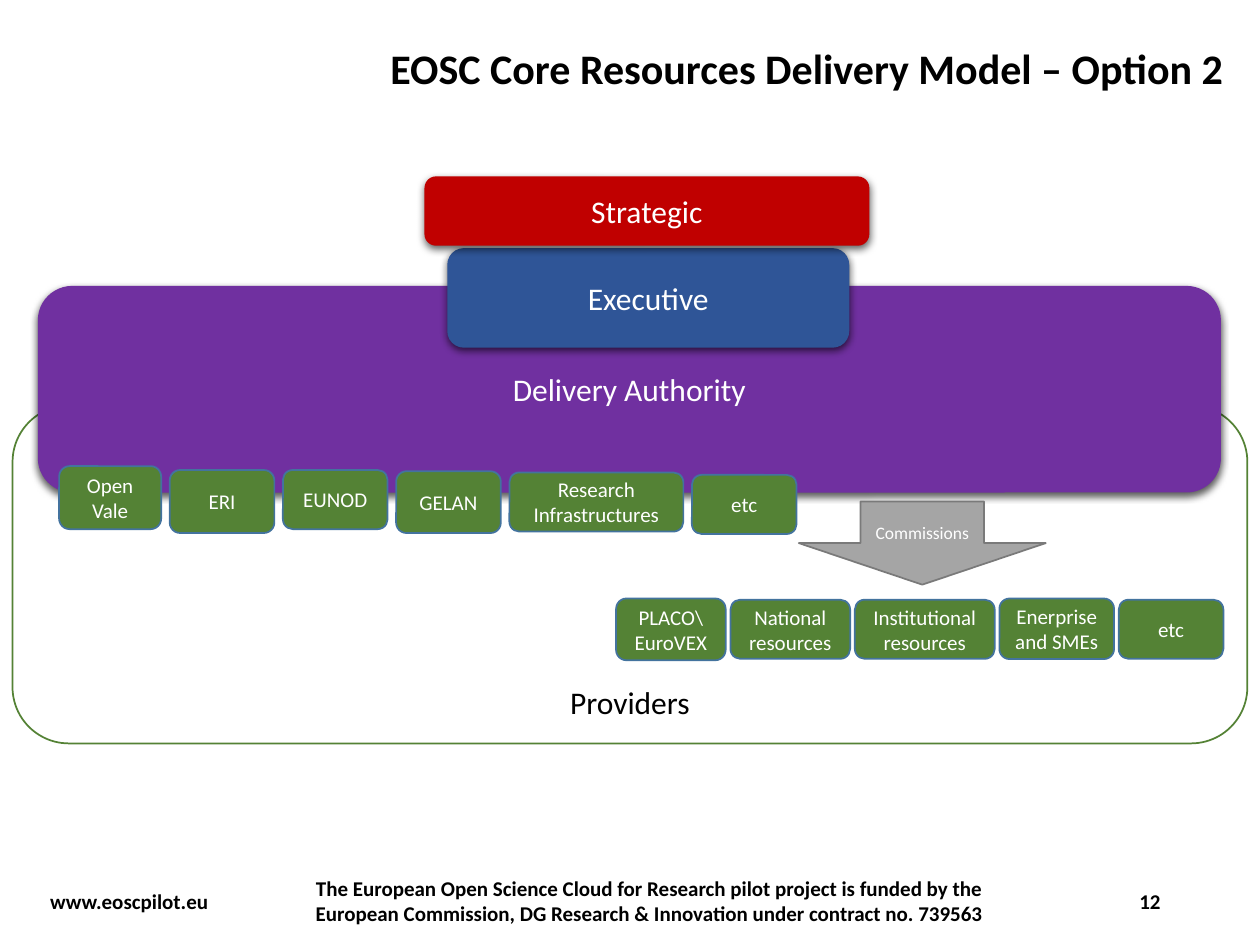
from lxml import etree
from pptx import Presentation
from pptx.dml.color import RGBColor
from pptx.enum import shapes, text
from pptx.oxml import ns
from pptx.util import Pt

FONT = "Calibri"
BLACK = RGBColor(0x00, 0x00, 0x00)
WHITE = RGBColor(0xFF, 0xFF, 0xFF)
RED = RGBColor(0xC0, 0x00, 0x00)
BLUE = RGBColor(0x2F, 0x55, 0x97)
PURPLE = RGBColor(0x70, 0x30, 0xA0)
GREEN = RGBColor(0x54, 0x82, 0x35)
STEEL = RGBColor(0x43, 0x73, 0x9E)
GREY = RGBColor(0xA5, 0xA5, 0xA5)
DARK_GREY = RGBColor(0x7A, 0x7A, 0x7A)

ROUNDED = shapes.MSO_SHAPE.ROUNDED_RECTANGLE
LEFT, CENTER, RIGHT = text.PP_ALIGN.LEFT, text.PP_ALIGN.CENTER, text.PP_ALIGN.RIGHT
MIDDLE, BOTTOM = text.MSO_ANCHOR.MIDDLE, text.MSO_ANCHOR.BOTTOM

DELIVERY_PARTNERS = [
    ("Open\nVale", 0, 58.3, 36),
    ("ERI", 2.2, 59.8, 36),
    ("EUNOD", 2.2, 59.8, 33.8),
    ("GELAN", 2.9, 59.8, 35.3),
    ("Research Infrastructures", 3.6, 99.4, 33.8),
    ("etc", 5, 59.8, 33.8),
]
COMMISSIONED_PROVIDERS = [
    ("PLACO\\\nEuroVEX", 0, 62.6, 35.3),
    ("National resources", 0.7, 68.4, 33.8),
    ("Institutional resources", 0.7, 79.9, 33.8),
    ("Enerprise and SMEs", 0, 65.5, 34.6),
    ("etc", 0.7, 59.8, 33.8),
]


def write_text(shape, words, size, color, bold=False, align=CENTER, anchor=MIDDLE):
    frame = shape.text_frame
    frame.word_wrap = True
    frame.vertical_anchor = anchor
    frame.text = words
    for paragraph in frame.paragraphs:
        paragraph.alignment = align
        for run in paragraph.runs:
            run.font.name = FONT
            run.font.size = Pt(size)
            run.font.bold = bold
            run.font.color.rgb = color


def add_label(slide, box, words, size, align):
    shape = slide.shapes.add_textbox(*map(Pt, box))
    write_text(shape, words, size, BLACK, bold=True, align=align)
    return shape


def add_block(slide, box, words, size, fill, line=None, color=WHITE,
              kind=ROUNDED, anchor=MIDDLE):
    shape = slide.shapes.add_shape(kind, *map(Pt, box))
    shape.shadow.inherit = False
    shape.fill.solid()
    shape.fill.fore_color.rgb = fill
    if line is None:
        shape.line.fill.background()
    else:
        shape.line.color.rgb = line
        shape.line.width = Pt(1)
    write_text(shape, words, size, color, anchor=anchor)
    return shape


def add_shadow(shape):
    effects = shape._element.spPr.find(ns.qn("a:effectLst"))
    shadow = etree.SubElement(
        effects, ns.qn("a:outerShdw"), blurRad=str(Pt(4.5)), dist=str(Pt(1.5)),
        dir="5400000", algn="ctr", rotWithShape="0")
    color = etree.SubElement(shadow, ns.qn("a:srgbClr"), val=str(BLACK))
    etree.SubElement(color, ns.qn("a:alpha"), val="63000")


def add_title(slide, box):
    title = add_label(slide, box, "EOSC Core Resources Delivery Model – Option 2", 24, LEFT)
    title.text_frame.paragraphs[0].line_spacing = 0.9


def add_governance(slide, box):
    left, top, width, height = box
    layers = [
        ("Delivery Authority", PURPLE, (0, 62.6, width, height - 62.6)),
        ("Executive", BLUE, (234, 41, 229.7, 56.9)),
        ("Strategic", RED, (221, 0, 254.2, 39.6)),
    ]
    for words, fill, (x, y, layer_width, layer_height) in layers:
        layer_box = (left + x, top + y, layer_width, layer_height)
        add_shadow(add_block(slide, layer_box, words, 18, fill))


def add_provider_row(slide, left, top, gap, providers):
    for words, drop, width, height in providers:
        add_block(slide, (left, top + drop, width, height), words, 12, GREEN, STEEL)
        left += width + gap


def add_provider_area(slide, box):
    add_block(slide, box, "Providers", 18, WHITE, GREEN, BLACK, anchor=BOTTOM)


def add_provider_details(slide, box):
    left, top, _, _ = box
    add_provider_row(slide, left + 26.6, top + 34.6, 4.9, DELIVERY_PARTNERS)
    add_provider_row(slide, left + 344.9, top + 110.2, 2.7, COMMISSIONED_PROVIDERS)
    add_block(slide, (left + 449.3, top + 54.8, 141.1, 47.5), "Commissions", 10,
              GREY, DARK_GREY, kind=shapes.MSO_SHAPE.DOWN_ARROW)


def add_footer(slide, box):
    left, top, width, height = box
    funding = ("The European Open Science Cloud for Research pilot project is funded by the "
               "European Commission, DG Research & Innovation under contract no. 739563")
    add_label(slide, (left, top, 106.6, height), "www.eoscpilot.eu", 12, LEFT)
    add_label(slide, (left + 149, top, 401, height), funding, 12, CENTER)
    add_label(slide, (left + width - 43.2, top, 43.2, height), "12", 12, RIGHT)


def main():
    presentation = Presentation()
    presentation.slide_width = Pt(720)
    presentation.slide_height = Pt(540)
    slide = presentation.slides.add_slide(presentation.slide_layouts[6])
    provider_box = (7.2, 231.8, 705.6, 193)
    add_provider_area(slide, provider_box)
    add_title(slide, (216, 10.8, 620.6, 59))
    add_footer(slide, (21.6, 500.4, 648.7, 28.8))
    add_governance(slide, (21.6, 100.8, 676.1, 180.7))
    add_provider_details(slide, provider_box)
    presentation.save("out.pptx")


if __name__ == "__main__":
    main()
